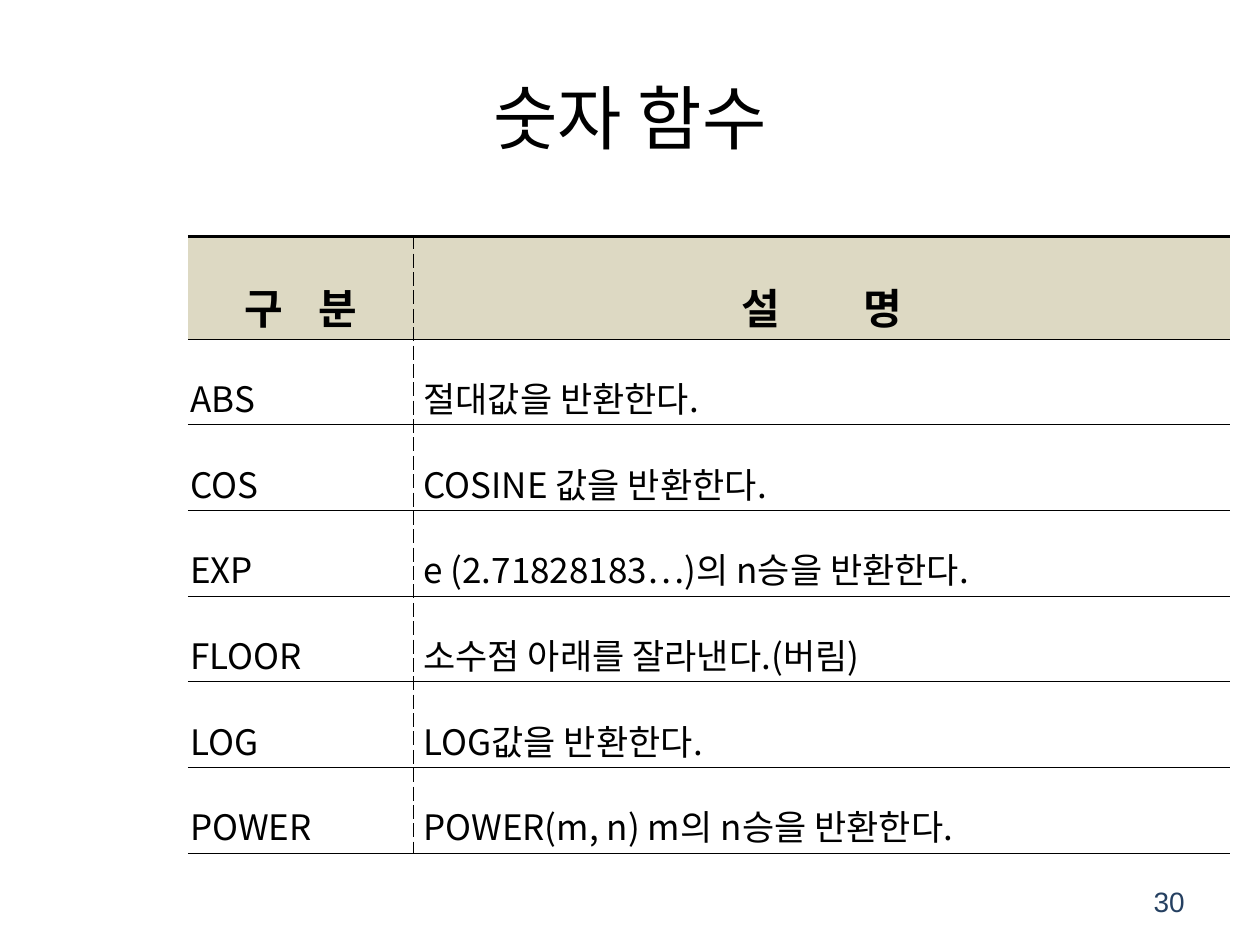
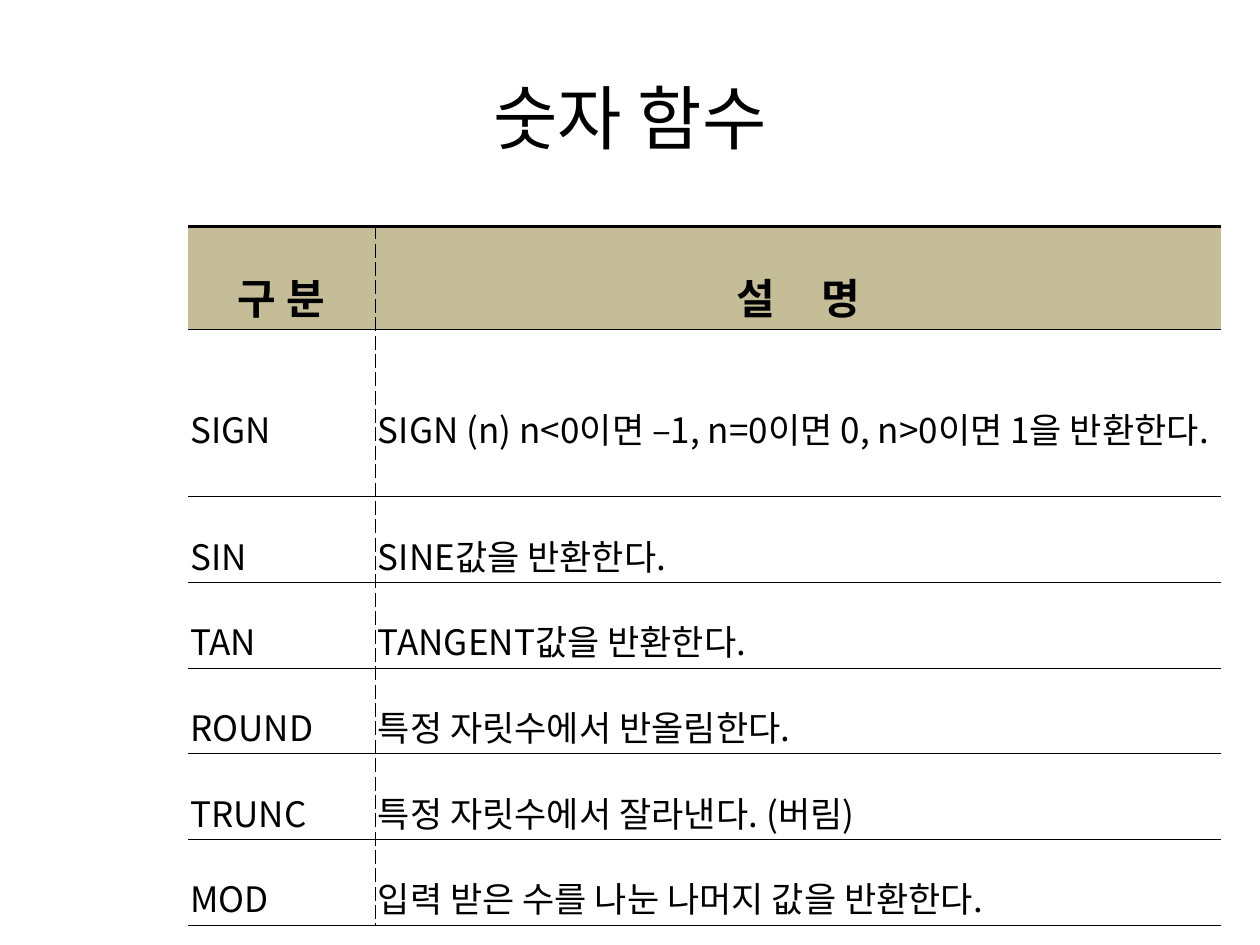
"""Build two slides that list numeric functions in ruled tables."""
import pptx
import pptx.dml.color
import pptx.enum.text
import pptx.oxml
import pptx.oxml.ns
import pptx.util
from lxml import etree

Inches = pptx.util.Inches
Pt = pptx.util.Pt
ALIGN = pptx.enum.text.PP_ALIGN
MIDDLE = pptx.enum.text.MSO_ANCHOR.MIDDLE

COLORS = {"ink": "000000", "paper": "FFFFFF", "number": "254061",
          "light header": "DDD9C3", "dark header": "C4BD97"}
KOREAN = "Noto Sans CJK KR"
TITLE = "숫자 함수"
HEADER = ("구 분", "설 명")
TABLE_LEFT = 1.49
HEADER_HEIGHT, LINE_HEIGHT, DOUBLE_HEIGHT = 0.81, 0.68, 1.33
CELL_MARGIN = 0.02
THICK, THIN, DIVIDER = (1.98, "solid"), (0.25, "solid"), (0.56, "dash")

SLIDES = [
    {
        "number": "30",
        "top": 1.88,
        "columns": (1.79, 6.48),
        "rows": [HEADER_HEIGHT] + [LINE_HEIGHT] * 6,
        "fill": "light header",
        "text margin": 0.08,
        "header gaps": (14.8, 42),
        "functions": [
            ("ABS", "절대값을 반환한다."),
            ("COS", "COSINE 값을 반환한다."),
            ("EXP", "e (2.71828183…)의 n승을 반환한다."),
            ("FLOOR", "소수점 아래를 잘라낸다.(버림)"),
            ("LOG", "LOG값을 반환한다."),
            ("POWER", "POWER(m, n) m의 n승을 반환한다."),
        ],
    },
    {
        "number": None,
        "top": 1.8,
        "columns": (1.49, 6.71),
        "rows": [HEADER_HEIGHT, DOUBLE_HEIGHT] + [LINE_HEIGHT] * 5,
        "fill": "dark header",
        "text margin": CELL_MARGIN,
        "header gaps": (0.6, 21.2),
        "functions": [
            ("SIGN", "SIGN (n) n<0이면 –1, n=0이면 0, n>0이면 1을 반환한다."),
            ("SIN", "SINE값을 반환한다."),
            ("TAN", "TANGENT값을 반환한다."),
            ("ROUND", "특정 자릿수에서 반올림한다."),
            ("TRUNC", "특정 자릿수에서 잘라낸다. (버림)"),
            ("MOD", "입력 받은 수를 나눈 나머지 값을 반환한다."),
        ],
    },
]


def color(name):
    return pptx.dml.color.RGBColor.from_string(COLORS[name])


def style(paragraph, size, align, font=KOREAN, ink="ink", bold=False):
    paragraph.alignment = align
    paragraph.font.size = Pt(size)
    paragraph.font.bold = bold
    paragraph.font.name = font
    paragraph.font.color.rgb = color(ink)
    properties = paragraph.font._element
    etree.SubElement(properties, pptx.oxml.ns.qn("a:ea"), typeface=font)


def add_text(page, at, text, *look):
    box = page.shapes.add_textbox(*map(Inches, at))
    frame = box.text_frame
    frame.word_wrap = True
    frame.vertical_anchor = MIDDLE
    frame.paragraphs[0].text = text
    style(frame.paragraphs[0], *look)


def add_border(cell, side, line):
    properties = cell._tc.get_or_add_tcPr()
    border = etree.SubElement(properties, pptx.oxml.ns.qn(f"a:ln{side}"))
    if line is None:
        etree.SubElement(border, pptx.oxml.ns.qn("a:noFill"))
        return
    width, dash = line
    border.set("w", str(Pt(width)))
    fill = etree.SubElement(border, pptx.oxml.ns.qn("a:solidFill"))
    etree.SubElement(fill, pptx.oxml.ns.qn("a:srgbClr"), val=COLORS["ink"])
    etree.SubElement(border, pptx.oxml.ns.qn("a:prstDash"), val=dash)


def write_header(paragraph, text, gap):
    first, last = text.split()
    for part in (first, " ", last):
        span = paragraph.add_run()
        span.text = part
        if part == " ":
            span.font._element.set("spc", str(round(gap * 100)))
    style(paragraph, 24, ALIGN.CENTER, KOREAN, "ink", True)


def add_function_table(page, content):
    rows = [HEADER, *content["functions"]]
    at = (TABLE_LEFT, content["top"], sum(content["columns"]), sum(content["rows"]))
    table = page.shapes.add_table(len(rows), 2, *map(Inches, at)).table
    table.first_row = table.horz_banding = False
    for column, width in zip(table.columns, content["columns"]):
        column.width = Inches(width)
    for row, height in zip(table.rows, content["rows"]):
        row.height = Inches(height)

    for r, texts in enumerate(rows):
        for c, text in enumerate(texts):
            cell = table.cell(r, c)
            is_header = r == 0
            add_border(cell, "L", DIVIDER if c else None)
            add_border(cell, "R", None if c else DIVIDER)
            add_border(cell, "T", THICK if is_header else THIN)
            add_border(cell, "B", THIN)
            cell.fill.solid()
            cell.fill.fore_color.rgb = color(content["fill"] if is_header else "paper")
            cell.vertical_anchor = MIDDLE
            cell.margin_top = cell.margin_bottom = Inches(CELL_MARGIN)
            cell.margin_left = cell.margin_right = Inches(CELL_MARGIN)
            paragraph = cell.text_frame.paragraphs[0]
            paragraph.line_spacing = 1.6
            if is_header:
                write_header(paragraph, text, content["header gaps"][c])
            else:
                if c:
                    cell.margin_left = Inches(content["text margin"])
                paragraph.text = text
                style(paragraph, 20, ALIGN.JUSTIFY)


def main():
    deck = pptx.Presentation()
    deck.slide_width, deck.slide_height = Inches(10), Inches(7.5)
    for content in SLIDES:
        page = deck.slides.add_slide(deck.slide_layouts[6])
        add_text(page, (0.5, 0.3, 9, 1.25), TITLE, 40, ALIGN.CENTER)
        if content["number"]:
            add_text(page, (7.17, 6.95, 2.33, 0.4), content["number"],
                     16, ALIGN.RIGHT, "Arial", "number")
        add_function_table(page, content)
    deck.save("out.pptx")


if __name__ == "__main__":
    main()
